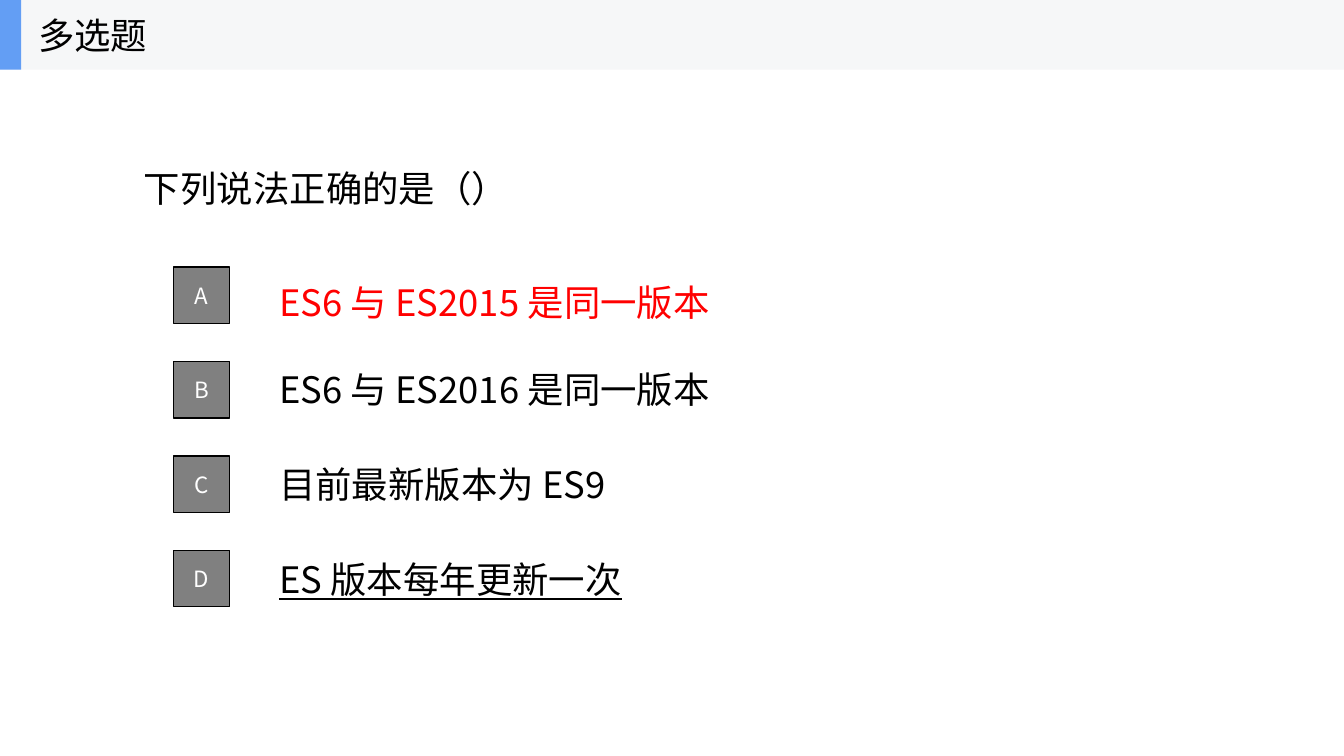
from dataclasses import dataclass

import pptx
import pptx.dml.color
import pptx.enum.shapes
import pptx.enum.text
import pptx.oxml
import pptx.oxml.ns
import pptx.util
from pptx.util import Inches


@dataclass(frozen=True)
class Theme:
    """Colours, font and type sizes of the slide."""
    font: str = "Noto Sans CJK SC"
    text: str = "000000"
    answer: str = "FF0000"
    badge: str = "808080"
    badge_text: str = "FFFFFF"
    band: str = "F6F7F8"
    accent: str = "639EF4"
    body_size: int = 26
    badge_size: int = 16


THEME = Theme()
BADGE_TOP = 2.65
ROW_STEP = 0.9367
HEADER_HEIGHT = 0.69


def rgb(value):
    """Turn a hex string into a colour."""
    return pptx.dml.color.RGBColor.from_string(value)


def write_text(shape, text, size, color, underline=False):
    """Fill a shape with one vertically centred paragraph."""
    frame = shape.text_frame
    frame.word_wrap = True
    frame.vertical_anchor = pptx.enum.text.MSO_ANCHOR.MIDDLE
    paragraph = frame.paragraphs[0]
    run = paragraph.add_run()
    run.text = text
    paragraph.font.size = pptx.util.Pt(size)
    paragraph.font.name = THEME.font
    paragraph.font.color.rgb = rgb(color)
    if underline:
        paragraph.font.underline = True
    defaults = paragraph.font._element
    east_asian = pptx.oxml.parse_xml(
        f'<a:ea {pptx.oxml.ns.nsdecls("a")} typeface="{THEME.font}"/>')
    defaults.find(pptx.oxml.ns.qn("a:latin")).addnext(east_asian)
    run._r.insert(0, pptx.oxml.parse_xml(
        pptx.oxml.xmlchemy.serialize_for_reading(defaults)
        .replace("a:defRPr", "a:rPr"))) if run._r.rPr is None else None
    return paragraph


def add_text(slide, left, top, width, height, text,
             color=THEME.text, underline=False):
    """Add a text box in the body size."""
    box = slide.shapes.add_textbox(
        Inches(left), Inches(top), Inches(width), Inches(height))
    write_text(box, text, THEME.body_size, color, underline)


def add_rectangle(slide, left, top, width, height, fill, line=None):
    """Add a flat rectangle with an optional thin outline."""
    shape = slide.shapes.add_shape(
        pptx.enum.shapes.MSO_SHAPE.RECTANGLE,
        Inches(left), Inches(top), Inches(width), Inches(height))
    shape.shadow.inherit = False
    shape.fill.solid()
    shape.fill.fore_color.rgb = rgb(fill)
    if line:
        shape.line.color.rgb = rgb(line)
        shape.line.width = pptx.util.Pt(1)
    else:
        shape.line.fill.background()
    return shape


def add_badge(slide, top, letter):
    """Add the square that carries an option letter."""
    badge = add_rectangle(slide, 1.72, top, 0.56, 0.56, THEME.badge, THEME.text)
    paragraph = write_text(badge, letter, THEME.badge_size, THEME.badge_text)
    paragraph.alignment = pptx.enum.text.PP_ALIGN.CENTER


def add_header(slide, title):
    """Add the title band with its accent block."""
    add_rectangle(slide, 0, 0, 13.33, HEADER_HEIGHT, THEME.band)
    add_rectangle(slide, 0, 0, 0.21, HEADER_HEIGHT, THEME.accent)
    add_text(slide, 0.28, 0, 2.08, HEADER_HEIGHT, title)


def main():
    """Build the quiz slide and save it."""
    presentation = pptx.Presentation()
    presentation.slide_width = Inches(13.33)
    presentation.slide_height = Inches(7.5)
    slide = presentation.slides.add_slide(presentation.slide_layouts[6])

    add_header(slide, "多选题")
    add_text(slide, 1.33, 0.69, 10.67, 2.34, "下列说法正确的是（）")
    options = [
        ("A", 2.65, "ES6 与 ES2015 是同一版本", THEME.answer, False),
        ("B", 3.51, "ES6 与 ES2016 是同一版本", THEME.text, False),
        ("C", 4.45, "目前最新版本为 ES9", THEME.text, False),
        ("D", 5.39, "ES 版本每年更新一次", THEME.text, True),
    ]
    for row, (letter, text_top, text, color, underline) in enumerate(options):
        add_badge(slide, BADGE_TOP + row * ROW_STEP, letter)
        add_text(slide, 2.67, text_top, 9.33, 0.7, text, color, underline)
    presentation.save("out.pptx")


if __name__ == "__main__":
    main()
